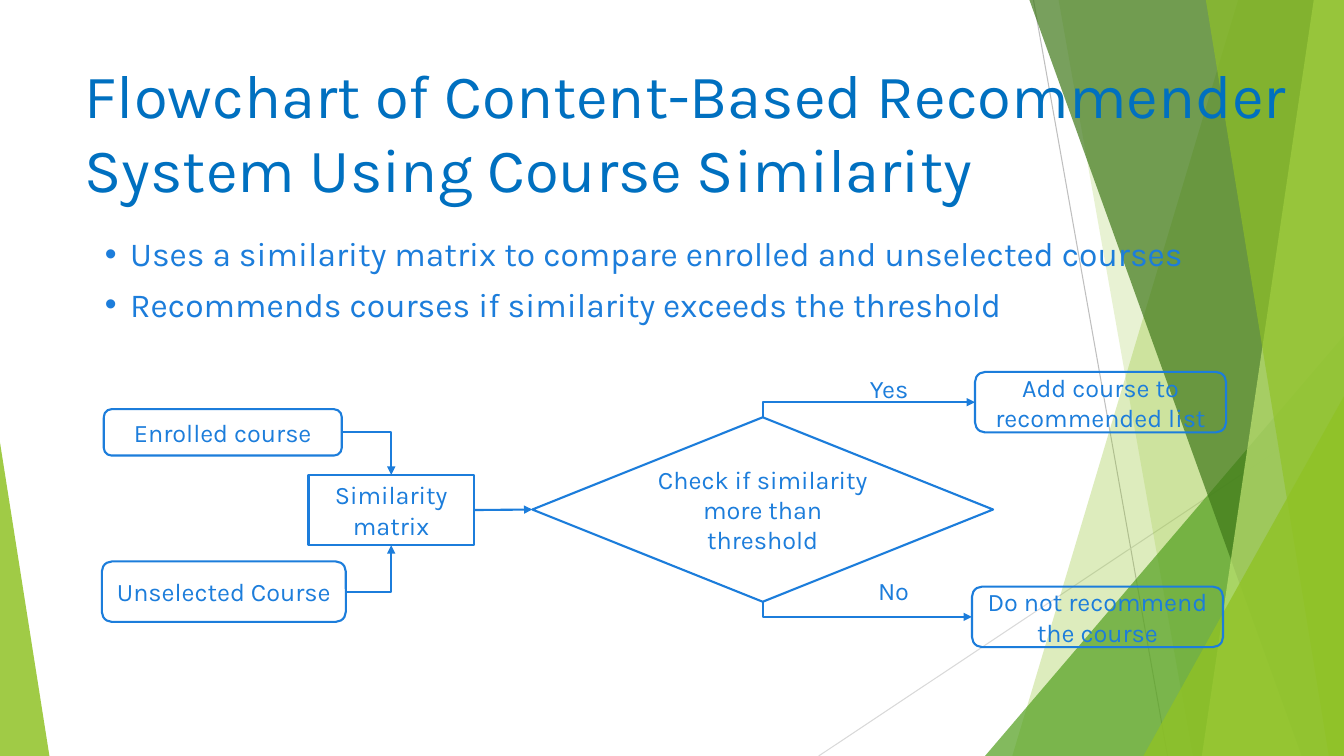
import pptx
import pptx.dml.color
import pptx.enum.shapes
import pptx.enum.text
import pptx.oxml
import pptx.oxml.ns
import pptx.util

Inches = pptx.util.Inches
SHAPES = pptx.enum.shapes.MSO_SHAPE
LINKS = pptx.enum.shapes.MSO_CONNECTOR
ALIGN = pptx.enum.text.PP_ALIGN
ANCHOR = pptx.enum.text.MSO_ANCHOR

BLUE, TITLE_BLUE, WHITE = "1C7DDB", "0070C0", "FFFFFF"
GREEN, MID_GREEN, DARK_GREEN, LIME = "90C226", "54A021", "3F7819", "C0E474"
TOP, LEFT, BOTTOM, RIGHT = range(4)  # connection sites


def color(value):
    return pptx.dml.color.RGBColor.from_string(value)


def set_values(target, values):
    for name, value in values.items():
        setattr(target, name, value)


def add_child(parent, tag, **attributes):
    child = pptx.oxml.parse_xml(f"<{tag} {pptx.oxml.ns.nsdecls('a')}/>")
    for name, value in attributes.items():
        child.set(name, value)
    parent.append(child)
    return child


def place(shape, left, top, width, height):
    lengths = dict(left=left, top=top, width=width, height=height)
    set_values(shape, {name: Inches(value) for name, value in lengths.items()})


def write(frame, lines, size, ink, align=ALIGN.LEFT, anchor=ANCHOR.TOP):
    set_values(frame, dict(word_wrap=True, vertical_anchor=anchor))
    for index, line in enumerate(lines):
        para = frame.paragraphs[0] if index == 0 else frame.add_paragraph()
        para.alignment = align
        span = para.add_run()
        span.text = line
        set_values(span.font, dict(name="Karla", size=pptx.util.Pt(size)))
        span.font.color.rgb = color(ink)


def draw_line(connector, ink, width, arrow=None):
    connector.line.color.rgb = color(ink)
    connector.line.width = pptx.util.Pt(width)
    if arrow:
        add_child(connector.line._get_or_add_ln(), f"a:{arrow}", type="triangle")
    add_child(connector._element.spPr, "a:effectLst")


def tint(shape, fill, opacity):
    shape.shadow.inherit = False
    shape.fill.solid()
    shape.fill.fore_color.rgb = color(fill)
    shape.line.fill.background()
    fill_color = shape._element.spPr.find(".//" + pptx.oxml.ns.qn("a:srgbClr"))
    add_child(fill_color, "a:alpha", val=str(opacity * 1000))


def add_backdrop(page, width, height):
    # Thin rules
    for x1, y1, x2, y2, ink in ((10.25, 0, 11.58, height, "BFBFBF"),
                                (width, 4.03, 8.12, height, "D9D9D9")):
        rule = page.shapes.add_connector(
            LINKS.STRAIGHT, *map(Inches, (x1, y1, x2, y2)))
        draw_line(rule, ink, 0.75)

    # Facets reaching the right edge: left x at the top and at the bottom
    def add_band(top_x, bottom_x, fill, opacity):
        corners = [(width, 0), (width, height), (bottom_x, height)]
        builder = page.shapes.build_freeform(Inches(top_x), 0)
        builder.add_line_segments(
            [(Inches(x), Inches(y)) for x, y in corners], close=True)
        tint(builder.convert_to_shape(), fill, opacity)

    # Right triangles standing on the bottom edge
    def add_wedge(left, top, wide, apex, fill, opacity):
        wedge = page.shapes.add_shape(
            SHAPES.ISOSCELES_TRIANGLE,
            *map(Inches, (left, top, wide, height - top)))
        wedge.adjustments[0] = apex
        tint(wedge, fill, opacity)

    add_band(12.28, 10.04, GREEN, 30)
    add_band(10.5, 11.83, GREEN, 20)
    add_wedge(9.77, 3.33, 3.56, 1, MID_GREEN, 72)
    add_band(10.21, 12.91, DARK_GREEN, 70)
    add_band(13.03, 11.92, LIME, 70)
    add_band(11.96, 13.18, GREEN, 65)
    add_wedge(11.34, 3.93, 1.99, 1, GREEN, 80)
    add_wedge(0, 4.39, 0.49, 0, GREEN, 85)


def add_heading(page, box):
    title = page.shapes.title
    place(title, *box)
    write(title.text_frame,
          ["Flowchart of Content-Based Recommender System Using Course Similarity"],
          44, TITLE_BLUE, anchor=ANCHOR.MIDDLE)
    page.shapes._spTree.append(title._element)  # in front of the backdrop


def add_points(page, box):
    body = page.placeholders[1]
    place(body, *box)
    write(body.text_frame,
          ["Uses a similarity matrix to compare enrolled and unselected courses",
           "Recommends courses if similarity exceeds the threshold"], 24, BLUE)
    for para in body.text_frame.paragraphs:
        set_values(para, dict(line_spacing=0.9, space_before=pptx.util.Pt(10)))
        properties = para._p.get_or_add_pPr()
        properties.set("marL", str(Inches(0.25)))
        properties.set("indent", str(-Inches(0.25)))
        add_child(properties, "a:buChar", char="•")
    page.shapes._spTree.append(body._element)


def add_flowchart(page, left, top):
    def add_node(kind, x, y, width, height, text, fill=None):
        node = page.shapes.add_shape(
            kind, *map(Inches, (left + x, top + y, width, height)))
        node.shadow.inherit = False
        if fill:
            node.fill.solid()
            node.fill.fore_color.rgb = color(fill)
        else:
            node.fill.background()
        node.line.color.rgb = color(BLUE)
        node.line.width = pptx.util.Pt(1.5)
        set_values(node.text_frame, dict(margin_left=Inches(0.08),
                                         margin_right=Inches(0.08)))
        write(node.text_frame, [text], 18, BLUE, ALIGN.CENTER, ANCHOR.MIDDLE)
        return node

    def add_link(start, start_site, end, end_site, bent=True, arrow="tailEnd"):
        link = page.shapes.add_connector(
            LINKS.ELBOW if bent else LINKS.STRAIGHT, 0, 0, 0, 0)
        link.begin_connect(start, start_site)
        link.end_connect(end, end_site)
        if bent:  # a single corner
            link._element.spPr.find(
                pptx.oxml.ns.qn("a:prstGeom")).set("prst", "bentConnector2")
        draw_line(link, BLUE, 1.5, arrow)

    # Steps
    rounded = SHAPES.ROUNDED_RECTANGLE
    enrolled = add_node(rounded, 0.03, 0.41, 2.36, 0.46, "Enrolled course")
    unselected = add_node(rounded, 0.01, 1.92, 2.42, 0.6, "Unselected Course")
    matrix = add_node(SHAPES.RECTANGLE, 2.06, 1.06, 1.64, 0.7,
                      "Similarity matrix", WHITE)
    check = add_node(SHAPES.DIAMOND, 4.28, 0.49, 4.57, 1.83,
                     "Check if similarity more than threshold", WHITE)
    accept = add_node(rounded, 8.67, 0.04, 2.49, 0.6,
                      "Add course to recommended list")
    reject = add_node(rounded, 8.64, 2.17, 2.49, 0.6,
                      "Do not recommend the course")

    # Arrows; the branches run back from the outcome to the check
    add_link(enrolled, RIGHT, matrix, TOP)
    add_link(unselected, RIGHT, matrix, BOTTOM)
    add_link(matrix, RIGHT, check, LEFT, bent=False)
    add_link(accept, LEFT, check, TOP, arrow="headEnd")
    add_link(reject, LEFT, check, BOTTOM, arrow="headEnd")

    # Branch labels
    for x, y, text in ((7.53, 0, "Yes"), (7.61, 2.01, "No")):
        label = page.shapes.add_textbox(
            *map(Inches, (left + x, top + y, 0.72, 0.4)))
        write(label.text_frame, [text], 18, BLUE)


def main():
    width, height = 13.33, 7.5
    deck = pptx.Presentation()
    set_values(deck, dict(slide_width=Inches(width), slide_height=Inches(height)))
    page = deck.slides.add_slide(deck.slide_layouts[1])
    add_backdrop(page, width, height)
    add_heading(page, (0.74, 0.48, 12.31, 1.63))
    add_points(page, (0.94, 2.31, 11.5, 1.13))
    add_flowchart(page, 1, 3.65)
    deck.save("out.pptx")


if __name__ == "__main__":
    main()
